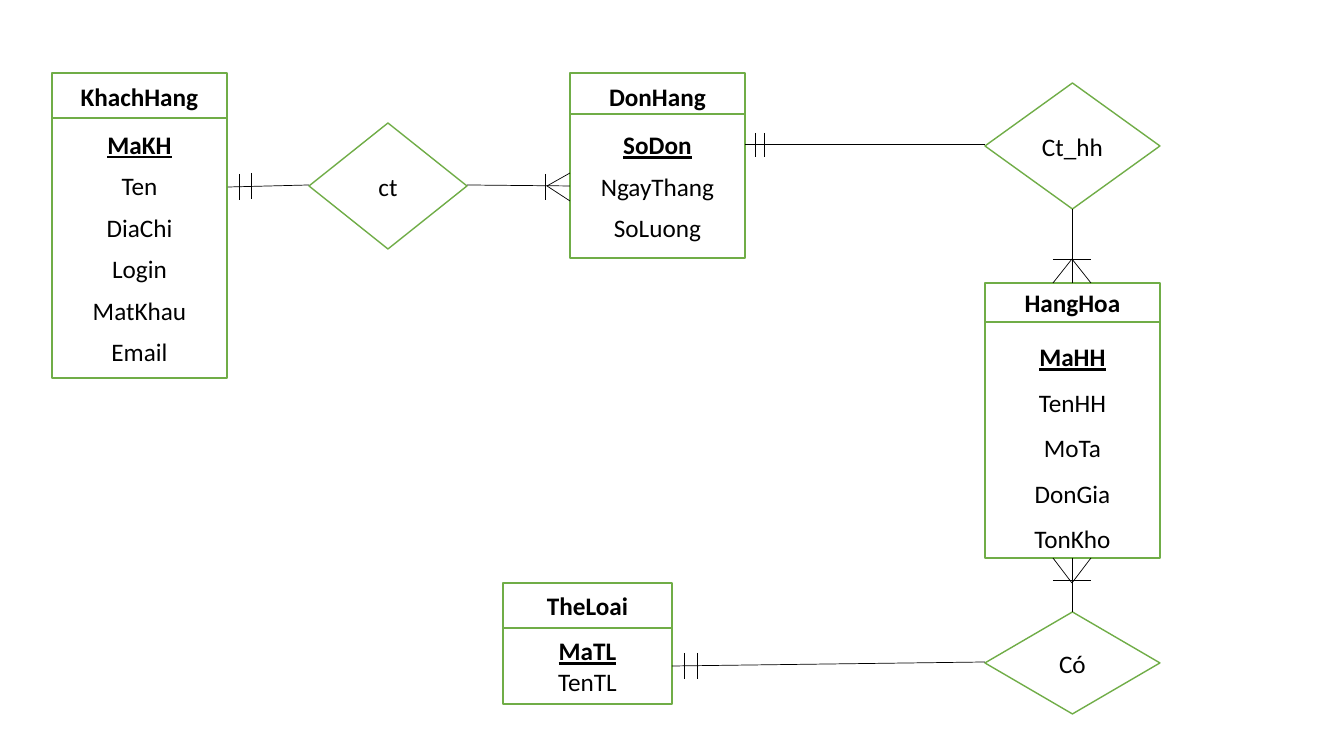
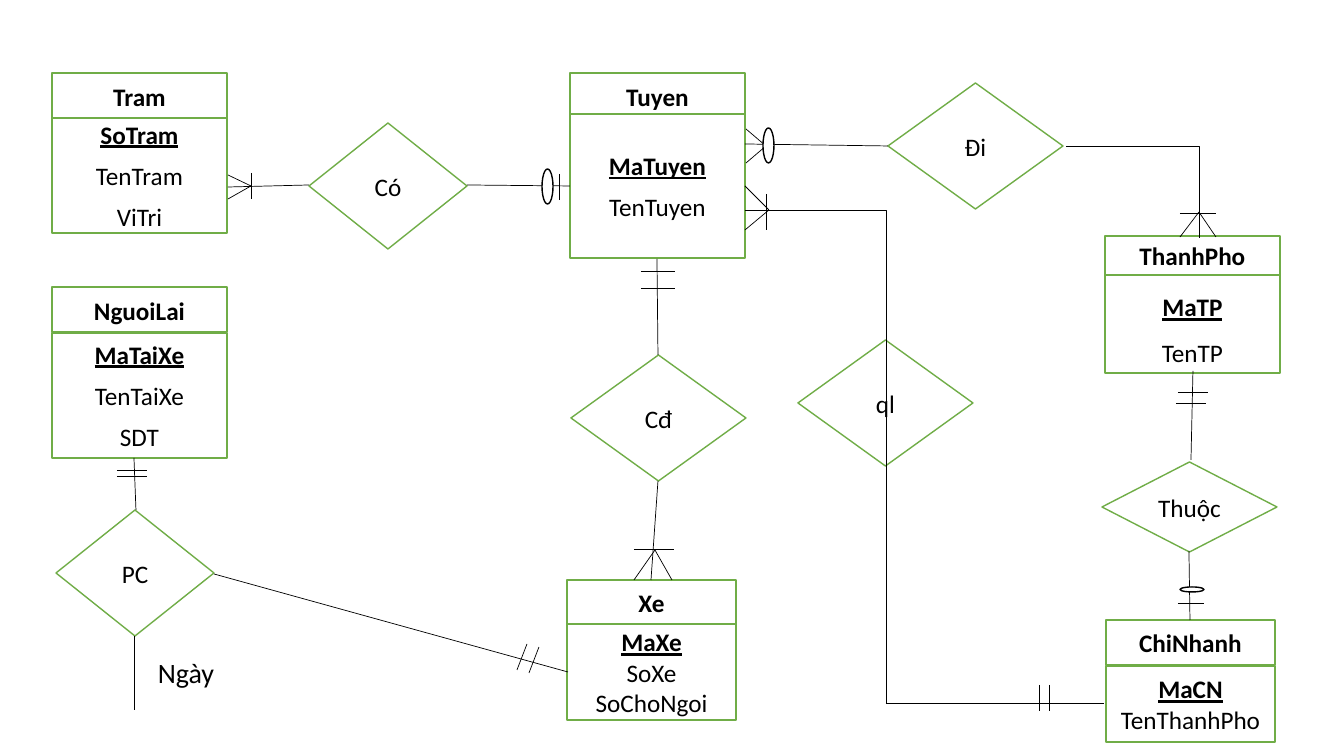
from dataclasses import dataclass
from lxml import etree
from pptx import Presentation
from pptx import util as u
from pptx.dml.color import RGBColor
from pptx.enum import shapes, text
from pptx.oxml import ns

WHITE = RGBColor(0xFF, 0xFF, 0xFF)
BLACK = RGBColor(0, 0, 0)
GREEN = RGBColor(0x70, 0xAD, 0x47)
FONT = "Calibri"
PIXEL = 914400 / 100.8


@dataclass
class Spacing:
    title_line: float = 1.0
    body_line: float = 1.0
    after: int = 0
    title_on_top: bool = False


AIRY = Spacing(title_line=1.07, after=8)
LOOSE = Spacing(body_line=1.5, title_on_top=True)
TIGHT = Spacing()


def emu(*lengths):
    return [u.Emu(round(length * PIXEL)) for length in lengths]


def write(para, words, size=18, bold=False, underline=False, line=1.0, after=0):
    para.alignment = text.PP_ALIGN.CENTER
    para.line_spacing = line
    para.space_after = u.Pt(after)
    span = para.add_run()
    span.text = words
    span.font.name = FONT
    span.font.size = u.Pt(size)
    span.font.bold = bold
    span.font.underline = underline
    span.font.color.rgb = BLACK


def outline(page, kind, box, colour=GREEN):
    shape = page.shapes.add_shape(kind, *emu(*box))
    shape.shadow.inherit = False
    shape.fill.solid()
    shape.fill.fore_color.rgb = WHITE
    shape.line.color.rgb = colour
    shape.line.width = u.Pt(1)
    shape.text_frame.vertical_anchor = text.MSO_ANCHOR.MIDDLE
    return shape


def entity(page, box, title_height, body_top, title, fields, spacing):
    left, top, width, height = box

    def heading():
        shape = outline(page, shapes.MSO_SHAPE.RECTANGLE, (left, top, width, title_height))
        write(shape.text_frame.paragraphs[0], title, bold=True,
              line=spacing.title_line, after=spacing.after)

    def body():
        shape = outline(page, shapes.MSO_SHAPE.RECTANGLE,
                        (left, top + body_top, width, height - body_top))
        frame = shape.text_frame
        for index, field in enumerate(fields):
            para = frame.add_paragraph() if index else frame.paragraphs[0]
            key = index == 0
            write(para, field, bold=key, underline=key,
                  line=spacing.body_line, after=spacing.after)

    for part in (body, heading) if spacing.title_on_top else (heading, body):
        part()


def relation(page, box, name):
    shape = outline(page, shapes.MSO_SHAPE.FLOWCHART_DECISION, box)
    write(shape.text_frame.paragraphs[0], name)


def wire(page, start, end, kind=shapes.MSO_CONNECTOR.STRAIGHT):
    line = page.shapes.add_connector(kind, *emu(*start, *end))
    line.line.color.rgb = BLACK
    line.line.width = u.Pt(0.5)
    etree.SubElement(line._element.spPr, ns.qn("a:effectLst"))
    return line


def corner(page, start, end):
    line = wire(page, start, end, shapes.MSO_CONNECTOR.ELBOW)
    geometry = line._element.spPr.find(ns.qn("a:prstGeom"))
    values = geometry.find(ns.qn("a:avLst"))
    if values is None:
        values = etree.SubElement(geometry, ns.qn("a:avLst"))
    etree.SubElement(values, ns.qn("a:gd"), name="adj1", fmla="val 100000")


def bars(page, reach, *centres):
    across, down = reach
    for x, y in centres:
        wire(page, (x - across, y - down), (x + across, y + down))


def fork(page, tip, base, half):
    sideways = abs(tip[0] - base[0]) > abs(tip[1] - base[1])
    for offset in (-half, half):
        end = (base[0], base[1] + offset) if sideways else (base[0] + offset, base[1])
        wire(page, tip, end)


def ring(page, box):
    outline(page, shapes.MSO_SHAPE.OVAL, box, BLACK)


def caption(page, box, words):
    frame = page.shapes.add_textbox(*emu(*box)).text_frame
    frame.word_wrap = True
    para = frame.paragraphs[0]
    write(para, words, size=20, line=0.8)
    para.space_before = u.Pt(10)


def diagram(deck, entities, relations, wires, corners, bar_sets, forks, rings):
    page = deck.slides.add_slide(deck.slide_layouts[6])
    for draw, items in ((entity, entities), (relation, relations), (wire, wires),
                        (corner, corners), (bars, bar_sets), (fork, forks)):
        for item in items:
            draw(page, *item)
    for box in rings:
        ring(page, box)
    return page


def orders(deck):
    diagram(
        deck,
        entities=[
            ((52, 73, 175, 305), 45, 45, "KhachHang",
             ["MaKH", "Ten", "DiaChi", "Login", "MatKhau", "Email"], AIRY),
            ((570, 73, 175, 185), 45, 41, "DonHang", ["SoDon", "NgayThang", "SoLuong"], AIRY),
            ((985, 283, 175, 275), 39, 39, "HangHoa",
             ["MaHH", "TenHH", "MoTa", "DonGia", "TonKho"], LOOSE),
            ((503, 583, 169, 121), 45, 45, "TheLoai", ["MaTL", "TenTL"], TIGHT),
        ],
        relations=[
            ((309, 123, 158, 126), "ct"),
            ((985, 83, 175, 126), "Ct_hh"),
            ((985, 612, 175, 102), "Có"),
        ],
        wires=[
            ((228, 187), (309, 185)),
            ((467, 185), (570, 186)),
            ((985, 144), (745, 144)),
            ((1072, 209), (1072, 283)),
            ((1072, 558), (1072, 612)),
            ((672, 666), (985, 662)),
        ],
        corners=[],
        bar_sets=[
            ((0, 13), (239, 187), (251, 186), (545, 187), (684, 666), (697, 666)),
            ((0, 12), (755, 145), (764, 145)),
            ((19, 0), (1072, 259), (1072, 580)),
        ],
        forks=[
            ((547, 186), (570, 187), 14),
            ((1072, 259), (1072, 283), 19),
            ((1072, 583), (1072, 558), 19),
        ],
        rings=[],
    )


def routes(deck):
    page = diagram(
        deck,
        entities=[
            ((570, 73, 175, 185), 45, 41, "Tuyen", ["MaTuyen", "TenTuyen"], AIRY),
            ((1105, 236, 175, 137), 39, 35, "ThanhPho", ["MaTP", "TenTP"], LOOSE),
            ((567, 580, 169, 140), 45, 44, "Xe", ["MaXe", "SoXe", "SoChoNgoi"], TIGHT),
            ((52, 73, 175, 160), 45, 45, "Tram", ["SoTram", "TenTram", "ViTri"], AIRY),
            ((1106, 620, 169, 122), 45, 46, "ChiNhanh", ["MaCN", "TenThanhPho"], TIGHT),
            ((52, 287, 175, 171), 45, 46, "NguoiLai", ["MaTaiXe", "TenTaiXe", "SDT"], AIRY),
        ],
        relations=[
            ((309, 123, 158, 126), "Có"),
            ((888, 83, 175, 126), "Đi"),
            ((1102, 462, 175, 90), "Thuộc"),
            ((798, 340, 175, 126), "ql"),
            ((571, 355, 175, 126), "Cđ"),
            ((56, 510, 158, 126), "PC"),
        ],
        wires=[
            ((228, 187), (309, 185)),
            ((467, 185), (570, 186)),
            ((888, 146), (745, 144)),
            ((1190, 620), (1189, 551)),
            ((1191, 460), (1193, 371)),
            ((886, 703), (1104, 703)),
            ((658, 481), (651, 580)),
            ((657, 259), (658, 355)),
            ((134, 636), (134, 710)),
            ((134, 458), (136, 510)),
            ((214, 574), (568, 672)),
        ],
        corners=[
            ((1066, 146), (1199, 238)),
            ((745, 210), (886, 703)),
        ],
        bar_sets=[
            ((0, 13), (251, 186), (559, 187), (1039, 698), (1049, 698)),
            ((0, 18), (766, 212)),
            ((18, 0), (1198, 213)),
            ((15, 0), (1193, 392), (1191, 403), (132, 470), (132, 476)),
            ((13, 0), (1191, 603)),
            ((17, 0), (658, 271), (658, 288)),
            ((20, 0), (654, 549)),
            ((5, -13), (522, 657), (534, 660)),
        ],
        forks=[
            ((251, 186), (228, 187), 12),
            ((766, 146), (746, 146), 17),
            ((769, 210), (745, 208), 22),
            ((1199, 212), (1198, 237), 18),
            ((655, 550), (653, 580), 19),
        ],
        rings=[(1180, 587, 24, 5), (763, 128, 11, 35), (542, 169, 11, 35)],
    )
    caption(page, (122, 657, 128, 37), "Ngày")


deck = Presentation()
deck.slide_width, deck.slide_height = emu(1344, 756)
orders(deck)
routes(deck)
deck.save("out.pptx")
